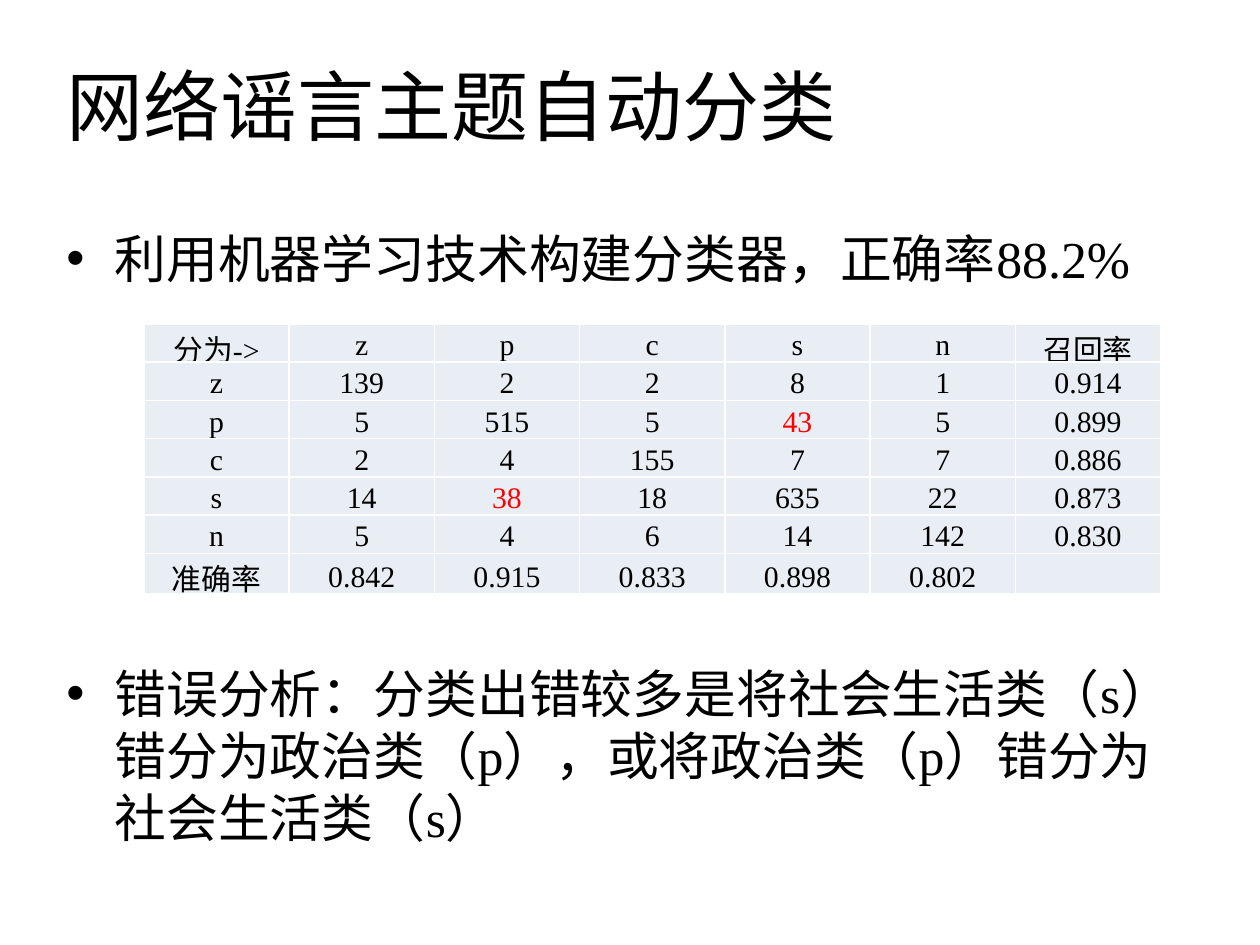
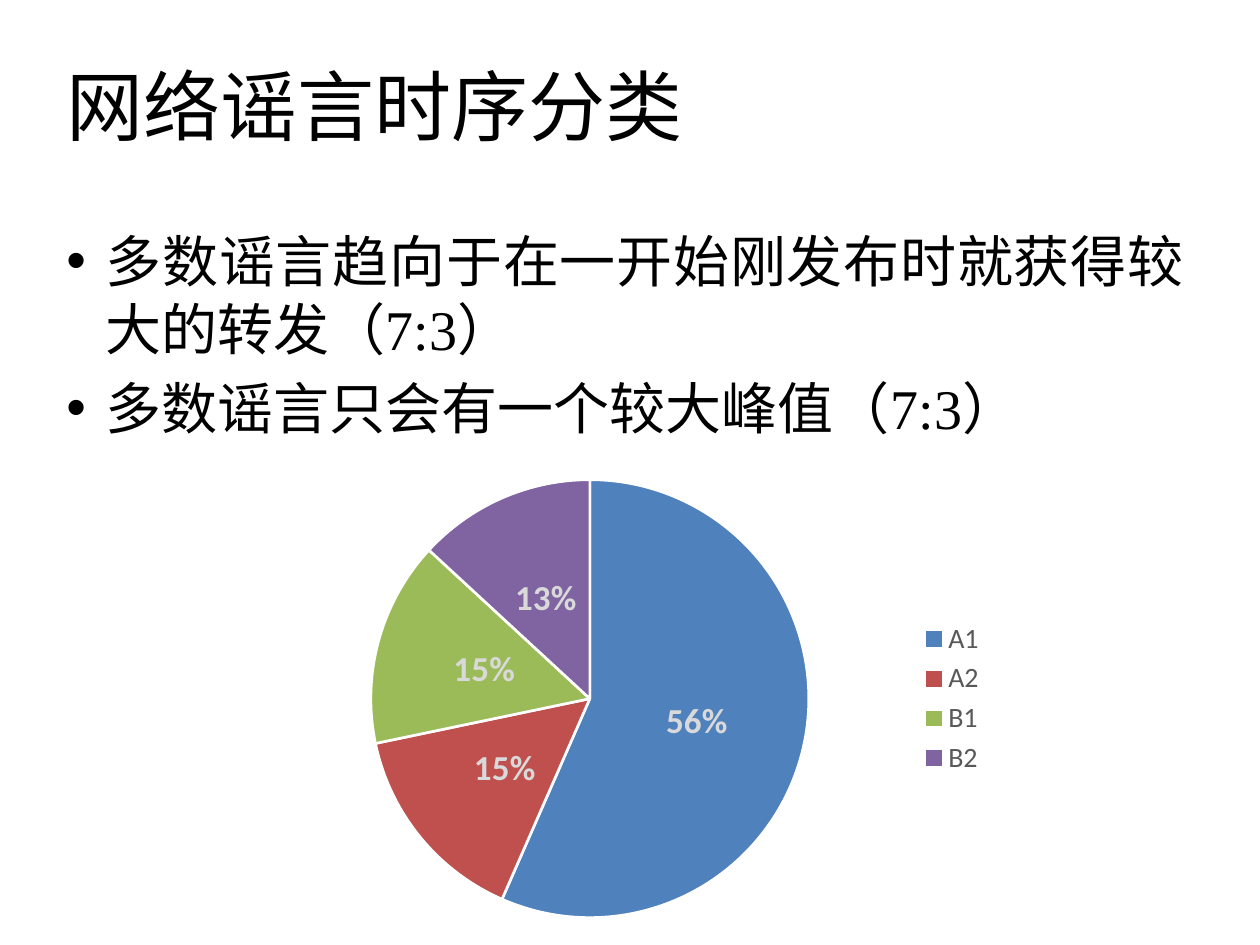
from lxml import etree
from pptx import Presentation
from pptx.chart.data import CategoryChartData
from pptx.dml.color import RGBColor
from pptx.enum.chart import XL_CHART_TYPE, XL_LABEL_POSITION, XL_LEGEND_POSITION
from pptx.enum.lang import MSO_LANGUAGE_ID
from pptx.enum.text import MSO_ANCHOR, PP_ALIGN
from pptx.oxml.ns import qn
from pptx.util import Cm, Pt

# Enum members
PIE = XL_CHART_TYPE.PIE
LABEL_CENTER = XL_LABEL_POSITION.CENTER
LEGEND_RIGHT = XL_LEGEND_POSITION.RIGHT
MIDDLE, BOTTOM, TOP = MSO_ANCHOR.MIDDLE, MSO_ANCHOR.BOTTOM, MSO_ANCHOR.TOP
LEFT, CENTER, JUSTIFY = PP_ALIGN.LEFT, PP_ALIGN.CENTER, PP_ALIGN.JUSTIFY
CHINESE = MSO_LANGUAGE_ID.SIMPLIFIED_CHINESE

# Shared style
TEXT_FONT, CHART_FONT = "Times New Roman", "Calibri"
BLACK = RGBColor(0x00, 0x00, 0x00)
WHITE = RGBColor(0xFF, 0xFF, 0xFF)
RED = RGBColor(0xFF, 0x00, 0x00)
CELL_FILL = RGBColor(0xE9, 0xED, 0xF4)
LEGEND_GREY = RGBColor(0x59, 0x59, 0x59)
LABEL_GREY = RGBColor(0xD9, 0xD9, 0xD9)
SLICE_COLORS = [RGBColor(0x4F, 0x81, 0xBD), RGBColor(0xC0, 0x50, 0x4D),
                RGBColor(0x9B, 0xBB, 0x59), RGBColor(0x80, 0x64, 0xA2)]

# Boxes: left, top, width, height in cm
TITLE_BOX = (1.09, 0.53, 23.04, 3.18)
BODY_BOX = (1.09, 4.45, 23.04, 12.57)
TABLE_BOX = (2.9, 6.53, 20.5, 5.18)
CHART_BOX = (5.31, 9.32, 14.81, 9.53)

# Confusion matrix with recall and precision
CONFUSION = [
    ["分为->", "z", "p", "c", "s", "n", "召回率"],
    ["z", "139", "2", "2", "8", "1", "0.914"],
    ["p", "5", "515", "5", "43", "5", "0.899"],
    ["c", "2", "4", "155", "7", "7", "0.886"],
    ["s", "14", "38", "18", "635", "22", "0.873"],
    ["n", "5", "4", "6", "14", "142", "0.830"],
    ["准确率", "0.842", "0.915", "0.833", "0.898", "0.802", ""],
]
MAIN_ERRORS = {(2, 4), (4, 2)}
TIMING_SHARES = {"A1": 56, "A2": 15, "B1": 15, "B2": 13}


def place(box):
    return [Cm(v) for v in box]


def style_font(font, size, color, name, bold=False):
    font.size, font.name, font.bold = Pt(size), name, bold
    font.color.rgb = color


def add_run(p, text, size, color=BLACK):
    r = p.add_run()
    r.text = text
    style_font(r.font, size, color, TEXT_FONT)
    r.font.language_id = CHINESE


def add_bullet(p, indent):
    pPr = p._p.get_or_add_pPr()
    pPr.set("marL", str(Cm(indent)))
    pPr.set("indent", str(-Cm(indent)))
    etree.SubElement(pPr, qn("a:buFont")).set("typeface", "Arial")
    etree.SubElement(pPr, qn("a:buChar")).set("char", "•")


def add_titled_slide(prs, title):
    s = prs.slides.add_slide(prs.slide_layouts[5])
    sp = s.shapes.title
    sp.left, sp.top, sp.width, sp.height = place(TITLE_BOX)
    tf = sp.text_frame
    tf.vertical_anchor = MIDDLE
    p = tf.paragraphs[0]
    p.alignment = LEFT
    add_run(p, title, 44)
    return s


def add_bullets(s, box, texts, size, indent, gap, align):
    tf = s.shapes.add_textbox(*place(box)).text_frame
    tf.word_wrap = True
    tf.vertical_anchor = TOP
    for i, text in enumerate(texts):
        p = tf.add_paragraph() if i else tf.paragraphs[0]
        p.alignment = align
        p.space_before = Pt(gap if i else 0)
        add_bullet(p, indent)
        add_run(p, text, size)


def add_borders(cell):
    tcPr = cell._tc.get_or_add_tcPr()
    for i, side in enumerate(("lnL", "lnR", "lnT", "lnB")):
        ln = etree.Element(qn(f"a:{side}"), w=str(Pt(1)))
        fill = etree.SubElement(ln, qn("a:solidFill"))
        etree.SubElement(fill, qn("a:srgbClr")).set("val", str(WHITE))
        tcPr.insert(i, ln)


def add_confusion_table(s, box):
    n_rows, n_cols = len(CONFUSION), len(CONFUSION[0])
    left, top, width, height = place(box)
    table = s.shapes.add_table(n_rows, n_cols, left, top, width, height).table
    for col in table.columns:
        col.width = width // n_cols
    for row in table.rows:
        row.height = height // n_rows
    for i, values in enumerate(CONFUSION):
        for j, value in enumerate(values):
            cell = table.cell(i, j)
            cell.fill.solid()
            cell.fill.fore_color.rgb = CELL_FILL
            add_borders(cell)
            cell.vertical_anchor = BOTTOM
            cell.margin_left = cell.margin_right = cell.margin_top = Cm(0.05)
            cell.margin_bottom = 0
            p = cell.text_frame.paragraphs[0]
            p.alignment = CENTER
            if value:
                add_run(p, value, 17, RED if (i, j) in MAIN_ERRORS else BLACK)


def add_timing_pie(s, box):
    data = CategoryChartData()
    data.categories = list(TIMING_SHARES)
    data.add_series("Series 1", list(TIMING_SHARES.values()))
    chart = s.shapes.add_chart(PIE, *place(box), data).chart
    style_font(chart.font, 10, BLACK, CHART_FONT)
    chart.has_title = False
    chart.has_legend = True
    chart.legend.position = LEGEND_RIGHT
    chart.legend.include_in_layout = False
    style_font(chart.legend.font, 16, LEGEND_GREY, CHART_FONT)

    # Slices
    plot = chart.plots[0]
    plot.vary_by_categories = True
    for i, color in enumerate(SLICE_COLORS):
        fmt = plot.series[0].points[i].format
        fmt.fill.solid()
        fmt.fill.fore_color.rgb = color
        fmt.line.color.rgb = WHITE
        fmt.line.width = Pt(1.5)

    # The rounded shares sum to 99, so they are labelled as values
    labels = plot.series[0].data_labels
    labels.show_value = True
    labels.number_format = '0"%"'
    labels.number_format_is_linked = False
    labels.position = LABEL_CENTER
    style_font(labels.font, 20, LABEL_GREY, CHART_FONT, bold=True)


def build_topic_slide(prs):
    s = add_titled_slide(prs, "网络谣言主题自动分类")
    add_bullets(s, BODY_BOX, [
        "利用机器学习技术构建分类器，正确率88.2%",
        "错误分析：分类出错较多是将社会生活类（s）错分为政治类（p），"
        "或将政治类（p）错分为社会生活类（s）",
    ], size=29.6, indent=0.97, gap=213, align=LEFT)
    add_confusion_table(s, TABLE_BOX)


def build_timing_slide(prs):
    s = add_titled_slide(prs, "网络谣言时序分类")
    add_bullets(s, BODY_BOX, [
        "多数谣言趋向于在一开始刚发布时就获得较大的转发（7:3）",
        "多数谣言只会有一个较大峰值（7:3）",
    ], size=32, indent=0.79, gap=7, align=JUSTIFY)
    add_timing_pie(s, CHART_BOX)


def main():
    prs = Presentation()
    prs.slide_width, prs.slide_height = Cm(25.4), Cm(19.05)
    build_topic_slide(prs)
    build_timing_slide(prs)
    prs.save("out.pptx")


if __name__ == "__main__":
    main()
